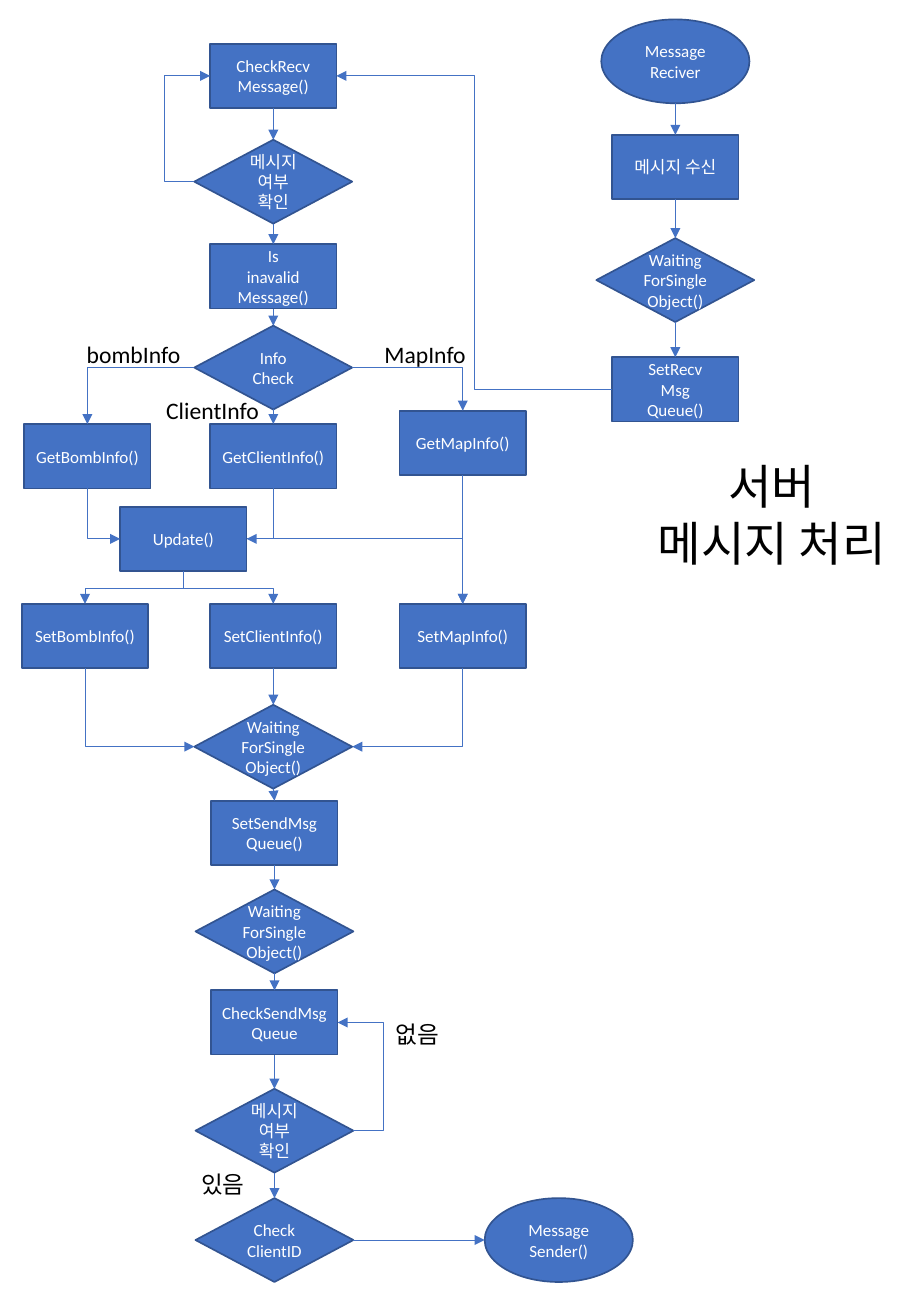
from itertools import pairwise

from pptx import Presentation, util as u
from pptx.dml.color import RGBColor
from pptx.enum import shapes, text
from pptx.oxml import ns
from lxml import etree

BLUE, EDGE, WHITE, BLACK = "4472C4", "325491", "FFFFFF", "000000"
FONT = "Calibri"
KINDS = {  # preset shape, width, height
    "step": (shapes.MSO_SHAPE.RECTANGLE, 1.04, 0.53),
    "test": (shapes.MSO_SHAPE.DIAMOND, 1.3, 0.69),
    "end": (shapes.MSO_SHAPE.OVAL, 1.22, 0.69),
}
TITLE = "서버\n메시지 처리"
WAIT, HAS_MESSAGE = "Waiting\nForSingleObject()", "메시지 여부 확인"

# Nodes: name -> text, kind, centre x, top
NODES = {
    "check recv": ("CheckRecv\nMessage()", "step", 2.25, 0.36),
    "has recv": (HAS_MESSAGE, "test", 2.25, 1.15),
    "is invalid": ("Is\ninavalid\nMessage()", "step", 2.25, 2.01),
    "info check": ("Info Check", "test", 2.25, 2.68),
    "get bomb": ("GetBombInfo()", "step", 0.72, 3.49),
    "get client": ("GetClientInfo()", "step", 2.25, 3.49),
    "get map": ("GetMapInfo()", "step", 3.81, 3.38),
    "update": ("Update()", "step", 1.51, 4.17),
    "set bomb": ("SetBombInfo()", "step", 0.7, 4.97),
    "set client": ("SetClientInfo()", "step", 2.25, 4.97),
    "set map": ("SetMapInfo()", "step", 3.81, 4.97),
    "wait set": (WAIT, "test", 2.25, 5.8),
    "set send": ("SetSendMsg\nQueue()", "step", 2.26, 6.59),
    "wait send": (WAIT, "test", 2.26, 7.32),
    "check send": ("CheckSendMsg\nQueue", "step", 2.26, 8.15),
    "has send": (HAS_MESSAGE, "test", 2.26, 8.96),
    "check client": ("Check\nClientID", "test", 2.26, 9.86),
    "sender": ("Message\nSender()", "end", 4.6, 9.86),
    "receiver": ("Message\nReciver", "end", 5.56, 0.16),
    "received": ("메시지 수신", "step", 5.56, 1.11),
    "wait recv": (WAIT, "test", 5.56, 1.96),
    "set recv": ("SetRecv\nMsg\nQueue()", "step", 5.56, 2.94),
}

# Runs of nodes joined straight downwards
CHAINS = [
    ("check recv", "has recv", "is invalid", "info check", "get client"),
    ("get map", "set map"),
    ("set client", "wait set", "set send", "wait send", "check send",
     "has send", "check client"),
    ("receiver", "received", "wait recv", "set recv"),
]

# Other arrows: start, side, end, side, position of the middle leg
TOP, LEFT, BOTTOM, RIGHT = range(4)
ARROWS = [
    ("has recv", LEFT, "check recv", LEFT, 1.35),
    ("has send", RIGHT, "check send", RIGHT, 3.16),
    ("set recv", LEFT, "check recv", RIGHT, 3.91),
    ("info check", LEFT, "get bomb", TOP, None),
    ("info check", RIGHT, "get map", TOP, None),
    ("get bomb", BOTTOM, "update", LEFT, None),
    ("get client", BOTTOM, "update", RIGHT, None),
    ("update", RIGHT, "set map", TOP, None),
    ("update", BOTTOM, "set bomb", TOP, 4.84),
    ("update", BOTTOM, "set client", TOP, 4.84),
    ("set bomb", BOTTOM, "wait set", LEFT, None),
    ("set map", BOTTOM, "wait set", RIGHT, None),
    ("check client", RIGHT, "sender", LEFT, None),
]
ARROWS += [(start, BOTTOM, end, TOP, None)
           for chain in CHAINS for start, end in pairwise(chain)]

# Branch labels: text, left, top, width
LABELS = [
    ("bombInfo", 0.58, 2.75, 1.04),
    ("ClientInfo", 1.23, 3.21, 1.04),
    ("MapInfo", 2.98, 2.75, 1.04),
    ("없음", 3.12, 8.34, 0.63),
    ("있음", 1.52, 9.58, 0.63),
]


def color(value):
    return RGBColor.from_string(value)


def write(box, words, size, ink, margins=(0.1, 0.05), grow=False):
    frame = box.text_frame
    frame.word_wrap = True
    frame.auto_size = (text.MSO_AUTO_SIZE.SHAPE_TO_FIT_TEXT if grow
                       else text.MSO_AUTO_SIZE.NONE)
    frame.vertical_anchor = text.MSO_ANCHOR.TOP if grow else text.MSO_ANCHOR.MIDDLE
    frame.margin_left = frame.margin_right = u.Inches(margins[0])
    frame.margin_top = frame.margin_bottom = u.Inches(margins[1])
    for number, line in enumerate(words.split("\n")):
        para = frame.add_paragraph() if number else frame.paragraphs[0]
        para.alignment = text.PP_ALIGN.CENTER
        span = para.add_run()
        span.text = line
        span.font.name, span.font.size = FONT, u.Pt(size)
        span.font.color.rgb = color(ink)


def add_node(words, kind, center, top):
    preset, width, height = KINDS[kind]
    box = page.shapes.add_shape(preset, *map(u.Inches, (center - width / 2, top, width, height)))
    box.shadow.inherit = False
    box.fill.solid()
    box.fill.fore_color.rgb = color(BLUE)
    box.line.color.rgb = color(EDGE)
    box.line.width = u.Pt(1)
    write(box, words, 10.1, WHITE, margins=(0.06, 0.03))
    return box


def anchor(name, side):
    """Point in the middle of one side of a node."""
    _, kind, center, top = NODES[name]
    _, width, height = KINDS[kind]
    return ((center, top), (center - width / 2, top + height / 2),
            (center, top + height), (center + width / 2, top + height / 2))[side]


def site(name, side):
    """Connection site; an ellipse has eight of them."""
    return side * 2 if NODES[name][1] == "end" else side


def bend(arrow, start, end, upright, turn):
    """Shape an elbow that leaves its start upright or level."""
    (x1, y1), (x2, y2) = start, end
    run, rise = (y2 - y1, x1 - x2) if upright else (x2 - x1, y2 - y1)
    arrow.width, arrow.height = u.Inches(abs(run)), u.Inches(abs(rise))
    arrow.left = u.Inches((x1 + x2 - abs(run)) / 2)
    arrow.top = u.Inches((y1 + y2 - abs(rise)) / 2)
    frame = arrow._element.spPr.find(ns.qn("a:xfrm"))
    frame.set("rot", str(5400000 if upright else 0))
    frame.set("flipH", str(int(run < 0)))
    frame.set("flipV", str(int(rise < 0)))
    outline = arrow._element.spPr.find(ns.qn("a:prstGeom"))
    if turn is None:
        outline.set("prst", "bentConnector2")
    else:
        share = (turn - (y1 if upright else x1)) / run
        guides = outline.find(ns.qn("a:avLst"))
        etree.SubElement(guides, ns.qn("a:gd"), name="adj1", fmla=f"val {round(share * 100000)}")


def add_arrow(start, out, end, into, turn):
    first, last = anchor(start, out), anchor(end, into)
    straight = turn is None and out % 2 == into % 2
    kind = shapes.MSO_CONNECTOR.STRAIGHT if straight else shapes.MSO_CONNECTOR.ELBOW
    arrow = page.shapes.add_connector(kind, *map(u.Inches, first + last))
    arrow.begin_connect(boxes[start], out)
    arrow.end_connect(boxes[end], into)
    links = arrow._element.nvCxnSpPr.cNvCxnSpPr
    links.find(ns.qn("a:stCxn")).set("idx", str(site(start, out)))
    links.find(ns.qn("a:endCxn")).set("idx", str(site(end, into)))
    if not straight:
        bend(arrow, first, last, out in (TOP, BOTTOM), turn)
    arrow.line.color.rgb = color(BLUE)
    arrow.line.width = u.Pt(0.5)
    etree.SubElement(arrow.line._get_or_add_ln(), ns.qn("a:tailEnd"), type="triangle")
    etree.SubElement(arrow._element.spPr, ns.qn("a:effectLst"))


deck = Presentation()
deck.slide_width, deck.slide_height = u.Inches(7.5), u.Inches(10.83)
page = deck.slides.add_slide(deck.slide_layouts[5])

# Title
title = page.shapes.title
title.left, title.top, title.width, title.height = map(u.Inches, (5.21, 3.71, 2.29, 1.05))
write(title, TITLE, 28.1, BLACK, grow=True)

# Flow chart
boxes = {name: add_node(*node) for name, node in NODES.items()}
for link in ARROWS:
    add_arrow(*link)

# Branch labels
for words, left, top, width in LABELS:
    label = page.shapes.add_textbox(*map(u.Inches, (left, top, width, 0.34)))
    write(label, words, 14, BLACK, grow=True)

deck.save("out.pptx")
